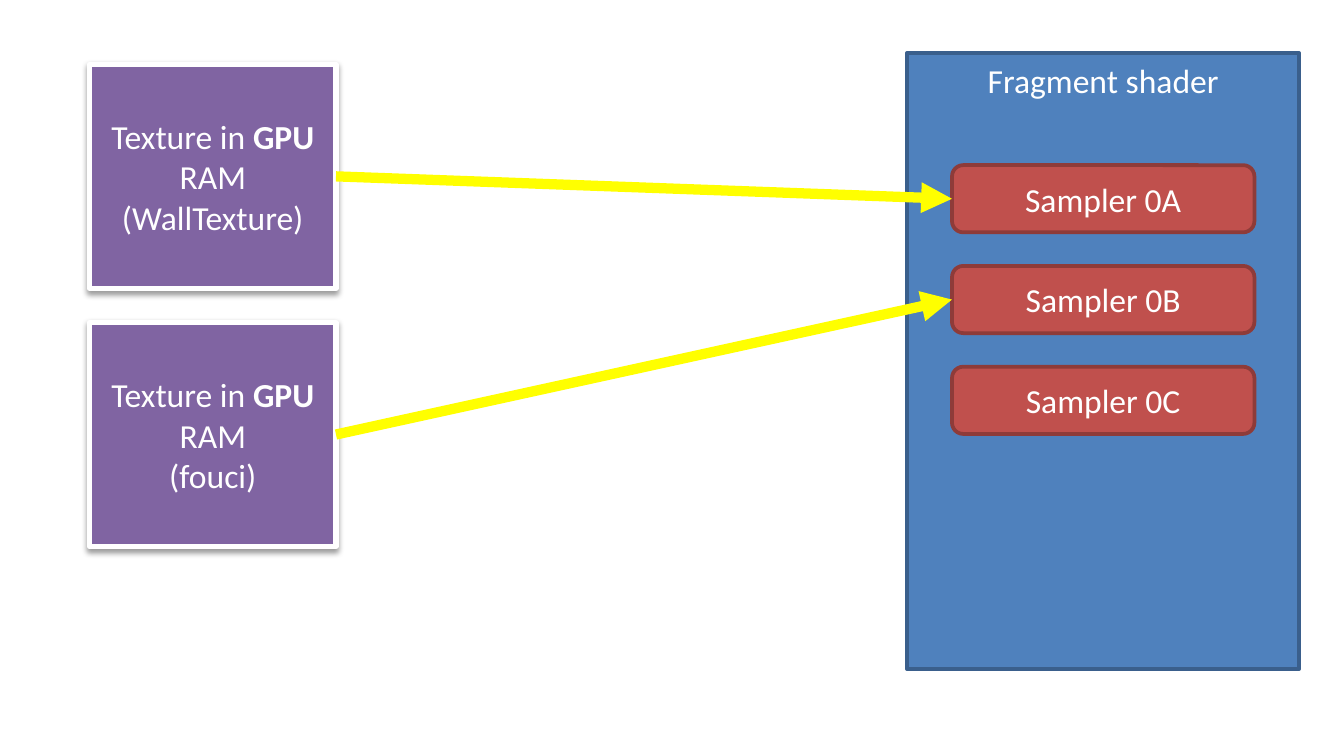
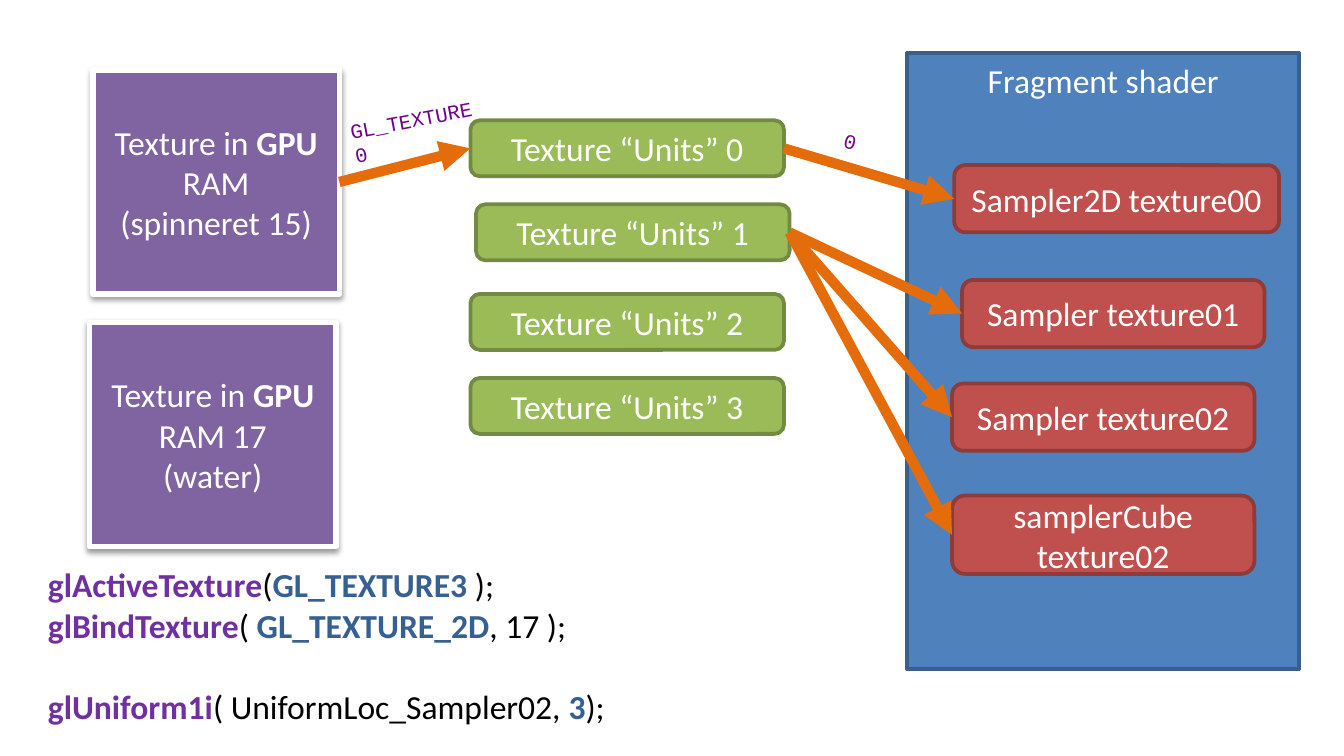
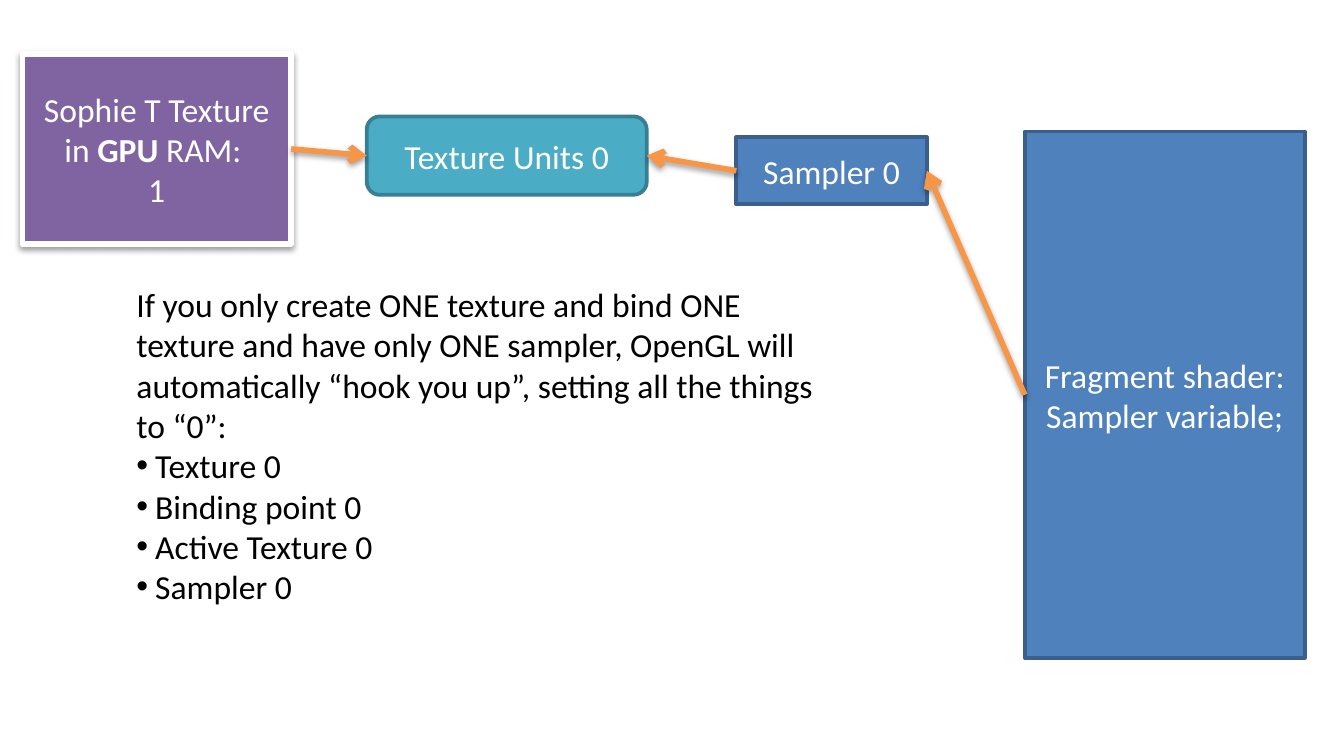
from typing import NamedTuple, Optional

from lxml import etree
from pptx import Presentation, util as u
from pptx.dml.color import RGBColor
from pptx.enum import shapes, text
from pptx.oxml.ns import qn

COLUMNS, ROWS = 120, 67.5
SLIDE_WIDTH, SLIDE_HEIGHT = u.Inches(10), u.Inches(5.625)
FONT, CODE_FONT = "Calibri", "Courier New"

WHITE = RGBColor(0xFF, 0xFF, 0xFF)
BLACK = RGBColor(0, 0, 0)
PURPLE = RGBColor(0x80, 0x64, 0xA2)
BLUE = RGBColor(0x4F, 0x81, 0xBD)
BLUE_EDGE = RGBColor(0x3A, 0x5F, 0x8C)
RED = RGBColor(0xC0, 0x50, 0x4D)
RED_EDGE = RGBColor(0x8E, 0x3B, 0x39)
GREEN = RGBColor(0x9B, 0xBB, 0x59)
GREEN_EDGE = RGBColor(0x73, 0x8A, 0x42)
TEAL = RGBColor(0x4B, 0xAC, 0xC6)
TEAL_EDGE = RGBColor(0x37, 0x7F, 0x92)
YELLOW = RGBColor(0xFF, 0xFF, 0)
DARK_ORANGE = RGBColor(0xE4, 0x6C, 0x0A)
ORANGE = RGBColor(0xF7, 0x96, 0x46)
FUNCTION = RGBColor(0x70, 0x30, 0xA0)
CONSTANT = RGBColor(0x37, 0x60, 0x92)
LABEL = RGBColor(0x6F, 0, 0x8A)

RECTANGLE = shapes.MSO_SHAPE.RECTANGLE
ROUNDED = shapes.MSO_SHAPE.ROUNDED_RECTANGLE
LEFT, RIGHT = 1, 3  # connection sites of a rectangle


class Run(NamedTuple):
    text: str
    color: Optional[RGBColor] = None
    bold: bool = False


def on_grid(left, top, width, height):
    """Turn columns and rows into slide lengths."""
    column, row = SLIDE_WIDTH / COLUMNS, SLIDE_HEIGHT / ROWS
    return (round(left * column), round(top * row),
            round(width * column), round(height * row))


def write(shape, paragraphs, *, size=18, color=WHITE, font=FONT,
          align=text.PP_ALIGN.LEFT, anchor=text.MSO_ANCHOR.TOP):
    """Fill a shape with paragraphs, each a string or a list of runs."""
    frame = shape.text_frame
    frame.word_wrap = True
    frame.vertical_anchor = anchor
    for index, content in enumerate(paragraphs):
        paragraph = frame.add_paragraph() if index else frame.paragraphs[0]
        paragraph.alignment = align
        for part in [Run(content)] if isinstance(content, str) else content:
            run = paragraph.add_run()
            run.text = part.text
            run.font.name = font
            run.font.size = u.Pt(size)
            run.font.bold = part.bold
            run.font.color.rgb = part.color or color
    return frame.paragraphs


def set_effects(item, shadow):
    """Drop the theme's shadow; add a soft one below if asked."""
    effects = etree.SubElement(item._element.spPr, qn("a:effectLst"))
    if shadow:
        outer = etree.SubElement(effects, qn("a:outerShdw"), blurRad="40000",
                                 dist="21000", dir="5400000", rotWithShape="0")
        tint = etree.SubElement(outer, qn("a:srgbClr"), val="000000")
        etree.SubElement(tint, qn("a:alpha"), val="38000")


def add_box(slide, place, paragraphs, fill, edge, *, kind=RECTANGLE,
            edge_width=2, shadow=False, anchor=text.MSO_ANCHOR.MIDDLE):
    box = slide.shapes.add_shape(kind, *on_grid(*place))
    box.fill.solid()
    box.fill.fore_color.rgb = fill
    box.line.color.rgb = edge
    box.line.width = u.Pt(edge_width)
    set_effects(box, shadow)
    write(box, paragraphs, align=text.PP_ALIGN.CENTER, anchor=anchor)
    return box


def add_texture(slide, place, before, after, name):
    lines = [[Run(before), Run("GPU", bold=True), Run(after)], name]
    return add_box(slide, place, lines, PURPLE, WHITE, edge_width=3, shadow=True)


def add_shader_panel(slide):
    add_box(slide, (81, 4.75, 35, 55), ["Fragment shader"], BLUE, BLUE_EDGE,
            anchor=text.MSO_ANCHOR.TOP)


def add_sampler(slide, name, left, top, width=27, height=6):
    return add_box(slide, (left, top, width, height), [name], RED, RED_EDGE,
                   kind=ROUNDED)


def add_arrow(slide, start, end, color, *, sites=(RIGHT, LEFT), width=5.5,
              head="triangle", shadow=False):
    arrow = slide.shapes.add_connector(shapes.MSO_CONNECTOR.STRAIGHT, 0, 0, 0, 0)
    arrow.begin_connect(start, sites[0])
    arrow.end_connect(end, sites[1])
    arrow.line.color.rgb = color
    arrow.line.width = u.Pt(width)
    etree.SubElement(arrow.line._get_or_add_ln(), qn("a:tailEnd"), type=head)
    set_effects(arrow, shadow)


def add_text(slide, place, paragraphs, *, rotation=0, **style):
    box = slide.shapes.add_textbox(*on_grid(*place))
    box.rotation = rotation
    return write(box, paragraphs, **style)


def add_bullet(paragraph, indent=u.Inches(0.14)):
    properties = paragraph._p.get_or_add_pPr()
    properties.set("marL", str(indent))
    properties.set("indent", str(-indent))
    etree.SubElement(properties, qn("a:buFont"), typeface="Arial")
    etree.SubElement(properties, qn("a:buChar"), char="•")


def build_direct_slide(slide):
    textures = [add_texture(slide, (8, top, 22, 20), "Texture in ", " RAM", name)
                for top, name in ((5.75, "(WallTexture)"), (28.8, "(fouci)"))]
    add_shader_panel(slide)
    samplers = [add_sampler(slide, f"Sampler 0{letter}", 85, 14.75 + 9 * row)
                for row, letter in enumerate("ABC")]
    for texture, sampler in zip(textures, samplers):
        add_arrow(slide, texture, sampler, YELLOW)


def build_units_slide(slide):
    texture = add_texture(slide, (8.3, 6.25, 22, 20), "Texture in ", " RAM",
                          "(spinneret 15)")
    add_texture(slide, (8, 28.8, 22, 20), "Texture in ", " RAM 17", "(water)")
    add_shader_panel(slide)
    samplers = [
        add_sampler(slide, "Sampler2D texture00", 85.2, 14.75, width=29),
        add_sampler(slide, "Sampler texture01", 85.9, 25),
        add_sampler(slide, "Sampler texture02", 85, 34.25),
        add_sampler(slide, "samplerCube texture02", 85, 44.25, height=7),
    ]
    unit_corners = ((42, 10.75), (42.5, 18.25), (42, 26.25), (42, 33.75))
    units = [add_box(slide, (*corner, 28, 5), [f"Texture “Units” {number}"],
                     GREEN, GREEN_EDGE, kind=ROUNDED)
             for number, corner in enumerate(unit_corners)]

    links = [(texture, units[0]), (units[0], samplers[0])]
    links += [(units[1], sampler) for sampler in samplers[1:]]
    for start, end in links:
        add_arrow(slide, start, end, DARK_ORANGE)

    code = add_text(slide, (3.1, 49.8, 61, 17), [
        [Run("glActiveTexture", FUNCTION, True), Run("("),
         Run("GL_TEXTURE3", CONSTANT, True), Run(" );")],
        [Run("glBindTexture", FUNCTION, True), Run("( "),
         Run("GL_TEXTURE_2D", CONSTANT, True), Run(", 17 );")],
        [Run("glUniform1i", FUNCTION, True), Run("( UniformLoc_Sampler02, "),
         Run("3", CONSTANT, True), Run(");")],
    ], color=BLACK)
    code[-1].space_before = u.Pt(22)

    for place, label, rotation in (((30, 8.9, 14.4, 3.5), "GL_TEXTURE0", 349),
                                   ((74.2, 10.9, 3.5, 3.5), "0", 14.9)):
        add_text(slide, place, [label], rotation=rotation, size=11,
                 color=LABEL, font=CODE_FONT)


def build_default_slide(slide):
    texture = add_texture(slide, (2, 4.8, 24, 17), "Sophie T Texture in ",
                          " RAM: ", "1")
    shader = add_box(slide, (91.5, 11.75, 25, 47),
                     ["Fragment shader: Sampler variable;"], BLUE, BLUE_EDGE)
    sampler = add_box(slide, (65.75, 12.25, 17, 6), ["Sampler 0"], BLUE, BLUE_EDGE)
    unit = add_box(slide, (32.75, 10.4, 25, 7), ["Texture Units 0"],
                   TEAL, TEAL_EDGE, kind=ROUNDED)
    for start, end, sites in ((shader, sampler, (LEFT, RIGHT)),
                              (sampler, unit, (LEFT, RIGHT)),
                              (texture, unit, (RIGHT, LEFT))):
        add_arrow(slide, start, end, ORANGE, sites=sites, width=3,
                  head="arrow", shadow=True)

    explanation = add_text(slide, (11, 24.75, 63, 30.25), [
        "If you only create ONE texture and bind ONE texture and have only ONE "
        "sampler, OpenGL will automatically “hook you up”, setting all the "
        "things to “0”:",
        "Texture 0", "Binding point 0", "Active Texture 0", "Sampler 0",
    ], color=BLACK)
    for paragraph in explanation[1:]:
        add_bullet(paragraph)


def main():
    presentation = Presentation()
    presentation.slide_width, presentation.slide_height = SLIDE_WIDTH, SLIDE_HEIGHT
    blank = presentation.slide_layouts[6]
    for build in (build_direct_slide, build_units_slide, build_default_slide):
        build(presentation.slides.add_slide(blank))
    presentation.save("out.pptx")


if __name__ == "__main__":
    main()
